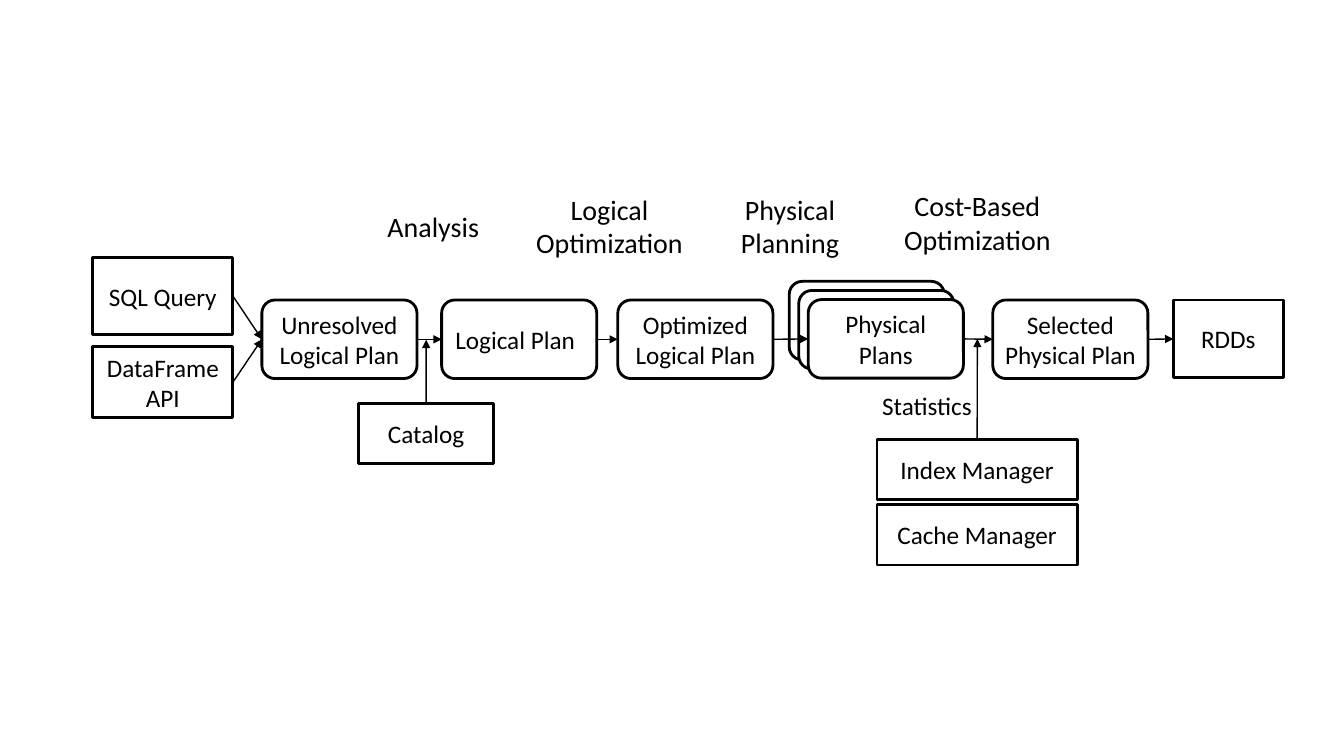
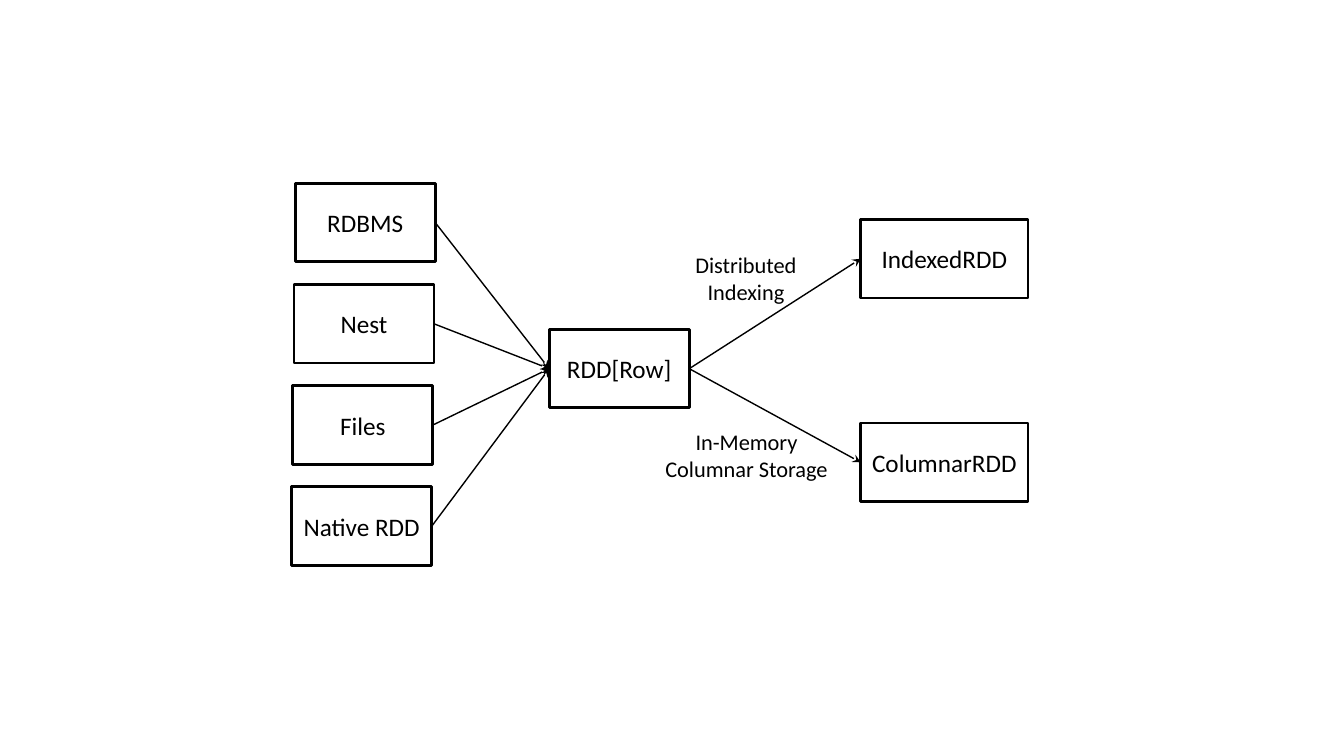
from dataclasses import dataclass
from typing import Optional, Tuple

from lxml.etree import SubElement
from pptx import Presentation
from pptx.dml.color import RGBColor
from pptx.enum.shapes import MSO_CONNECTOR, MSO_SHAPE
from pptx.enum.text import MSO_ANCHOR, PP_ALIGN
from pptx.oxml.ns import qn
from pptx.shapes.autoshape import Shape
from pptx.slide import Slide
from pptx.util import Cm, Pt


@dataclass(frozen=True)
class Theme:
    """Colours, type sizes and line widths of the deck."""
    font: str = "Calibri"
    ink: RGBColor = RGBColor(0, 0, 0)
    paper: RGBColor = RGBColor(255, 255, 255)
    box_size: int = 18
    phase_size: int = 20
    note_size: int = 16
    outline: int = 2
    arrow: int = 1


@dataclass(frozen=True)
class Box:
    """An outlined box with its label; lengths in centimetres."""
    text: str
    left: float
    top: float
    width: float = 3.53
    height: float = 1.98
    rounded: bool = False
    filled: bool = False
    indent: Optional[float] = None


@dataclass(frozen=True)
class Label:
    """Free-standing centred text; lengths in centimetres."""
    text: str
    left: float
    top: float
    width: float
    height: float
    size: int


THEME = Theme()
TOP, LEFT, RIGHT = 0, 1, 3  # connection sites of a rectangle
STAGE_WIDTH = 3.91
STAGE_TOP = 7.56


def write(shape: Shape, text: str, size: int, wrap: bool,
          inset: float, indent: Optional[float] = None) -> None:
    """Put formatted text into a shape, centred unless indented."""
    frame = shape.text_frame
    frame.text = text
    layout = {"word_wrap": wrap, "vertical_anchor": MSO_ANCHOR.MIDDLE,
              "margin_left": Cm(inset if indent is None else indent),
              "margin_right": Cm(inset), "margin_top": 0, "margin_bottom": 0}
    for name, value in layout.items():
        setattr(frame, name, value)
    for paragraph in frame.paragraphs:
        paragraph.alignment = PP_ALIGN.CENTER if indent is None else PP_ALIGN.LEFT
        for name, value in {"name": THEME.font, "size": Pt(size)}.items():
            setattr(paragraph.font, name, value)
        paragraph.font.color.rgb = THEME.ink


def draw_box(slide: Slide, box: Box) -> Shape:
    """Draw one outlined box and return it."""
    outline = MSO_SHAPE.ROUNDED_RECTANGLE if box.rounded else MSO_SHAPE.RECTANGLE
    shape = slide.shapes.add_shape(
        outline, Cm(box.left), Cm(box.top), Cm(box.width), Cm(box.height))
    shape.shadow.inherit = False
    if box.filled:
        shape.fill.solid()
        shape.fill.fore_color.rgb = THEME.paper
    else:
        shape.fill.background()
    shape.line.color.rgb = THEME.ink
    shape.line.width = Pt(THEME.outline)
    if box.text:
        write(shape, box.text, THEME.box_size, True, 0.1, box.indent)
    return shape


def draw_label(slide: Slide, label: Label) -> None:
    """Draw one free-standing label."""
    shape = slide.shapes.add_textbox(
        Cm(label.left), Cm(label.top), Cm(label.width), Cm(label.height))
    write(shape, label.text, label.size, False, 0.25)


def draw_arrow(slide: Slide, source: Shape, site: int, tip: str,
               target: Optional[Shape] = None,
               point: Tuple[float, float] = (0, 0)) -> None:
    """Draw an arrow from a box side to the left of a box or to a point."""
    x, y = (Cm(length) for length in point)
    arrow = slide.shapes.add_connector(MSO_CONNECTOR.STRAIGHT, x, y, x, y)
    arrow.begin_connect(source, site)
    if target is not None:
        arrow.end_connect(target, LEFT)
    arrow.line.color.rgb = THEME.ink
    arrow.line.width = Pt(THEME.arrow)
    properties = arrow._element.spPr
    SubElement(properties.find(qn("a:ln")), qn("a:tailEnd"), type=tip)
    SubElement(properties, qn("a:effectLst"))


def stage(text: str, left: float, top: float = STAGE_TOP,
          filled: bool = False, indent: Optional[float] = None) -> Box:
    """Describe a rounded plan box of the query pipeline."""
    return Box(text, left, top, STAGE_WIDTH, rounded=True,
               filled=filled, indent=indent)


def build_query_pipeline(slide: Slide) -> None:
    """Draw the path from a query to RDDs."""
    tip = "triangle"
    plans_left, plans_top = 20.37, 7.55
    for depth in (2, 1):
        draw_box(slide, stage("", plans_left - 0.24 * depth,
                              plans_top - 0.23 * depth, filled=depth == 1))
    stages = [draw_box(slide, box) for box in (
        stage("Unresolved\nLogical Plan", 6.6),
        stage("Logical Plan", 11.13, indent=0.25),
        stage("Optimized\nLogical Plan", 15.57),
        stage("Physical\nPlans", plans_left, plans_top, filled=True),
        stage("Selected\nPhysical Plan", 25.02),
        Box("RDDs", 29.57, STAGE_TOP, 2.77, 1.96),
    )]
    for source, target in zip(stages, stages[1:]):
        draw_arrow(slide, source, RIGHT, tip, target)

    for query in (Box("SQL Query", 2.34, 6.48, height=1.96),
                  Box("DataFrame\nAPI", 2.34, 8.73, height=1.8, filled=True)):
        draw_arrow(slide, draw_box(slide, query), RIGHT, tip, stages[0])

    catalog = draw_box(slide, Box("Catalog", 9.04, 10.16, 3.4, 1.52))
    draw_arrow(slide, catalog, TOP, tip, point=(10.74, 8.56))
    index_manager, _ = [
        draw_box(slide, Box(f"{kind} Manager", 22.1, 11.07 + 1.65 * row, 5.05, 1.52))
        for row, kind in enumerate(("Index", "Cache"))]
    draw_arrow(slide, index_manager, TOP, tip, point=(24.63, 8.54))

    for label in (
        Label("Statistics", 21.77, 9.7, 3.18, 1.02, THEME.box_size),
        Label("Analysis", 9.5, 5.14, 2.84, 1.12, THEME.phase_size),
        Label("Logical\nOptimization", 13.24, 4.71, 4.24, 1.96, THEME.phase_size),
        Label("Physical\nPlanning", 18.4, 4.71, 3.02, 1.96, THEME.phase_size),
        Label("Cost-Based\nOptimization", 22.51, 4.63, 4.24, 1.96, THEME.phase_size),
    ):
        draw_label(slide, label)


def build_data_sources(slide: Slide) -> None:
    """Draw the sources feeding RDD[Row] and the RDDs derived from it."""
    tip = "stealth"
    row_rdd = draw_box(slide, Box("RDD[Row]", 13.84, 8.3))
    for row, name in enumerate(("RDBMS", "Nest", "Files", "Native RDD")):
        source = draw_box(slide, Box(name, 7.44 - 0.03 * row, 4.62 + 2.55 * row))
        draw_arrow(slide, source, RIGHT, tip, row_rdd)
    for name, top in (("IndexedRDD", 5.53), ("ColumnarRDD", 10.66)):
        derived = draw_box(slide, Box(name, 21.69, top, 4.22))
        draw_arrow(slide, row_rdd, RIGHT, tip, derived)
    for label in (
        Label("Distributed\nIndexing", 17.25, 6.19, 3.1, 1.63, THEME.note_size),
        Label("In-Memory\nColumnar Storage", 16.49, 10.66, 4.65, 1.63,
              THEME.note_size),
    ):
        draw_label(slide, label)


def main() -> None:
    """Build and save the deck."""
    deck = Presentation()
    deck.slide_width, deck.slide_height = Cm(33.87), Cm(19.05)
    blank = deck.slide_layouts[6]
    for build in (build_query_pipeline, build_data_sources):
        build(deck.slides.add_slide(blank))
    deck.save("out.pptx")


main()
